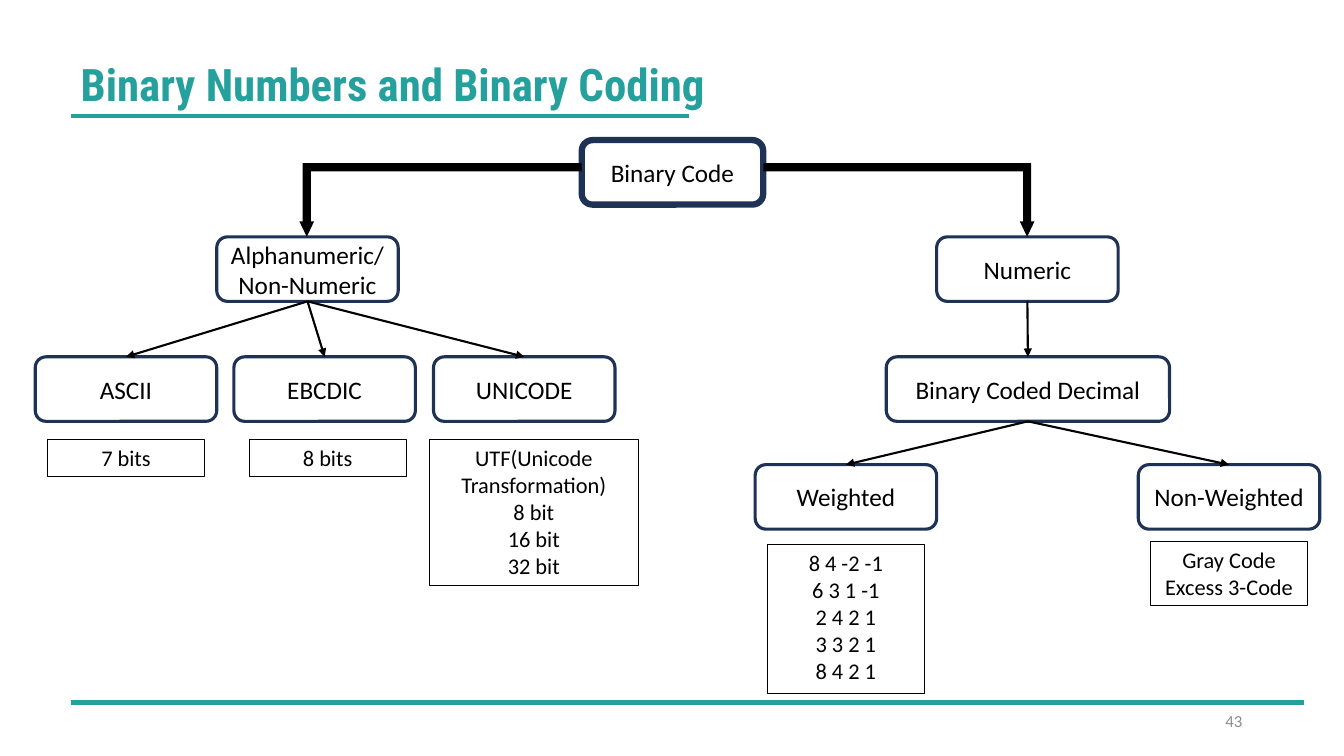
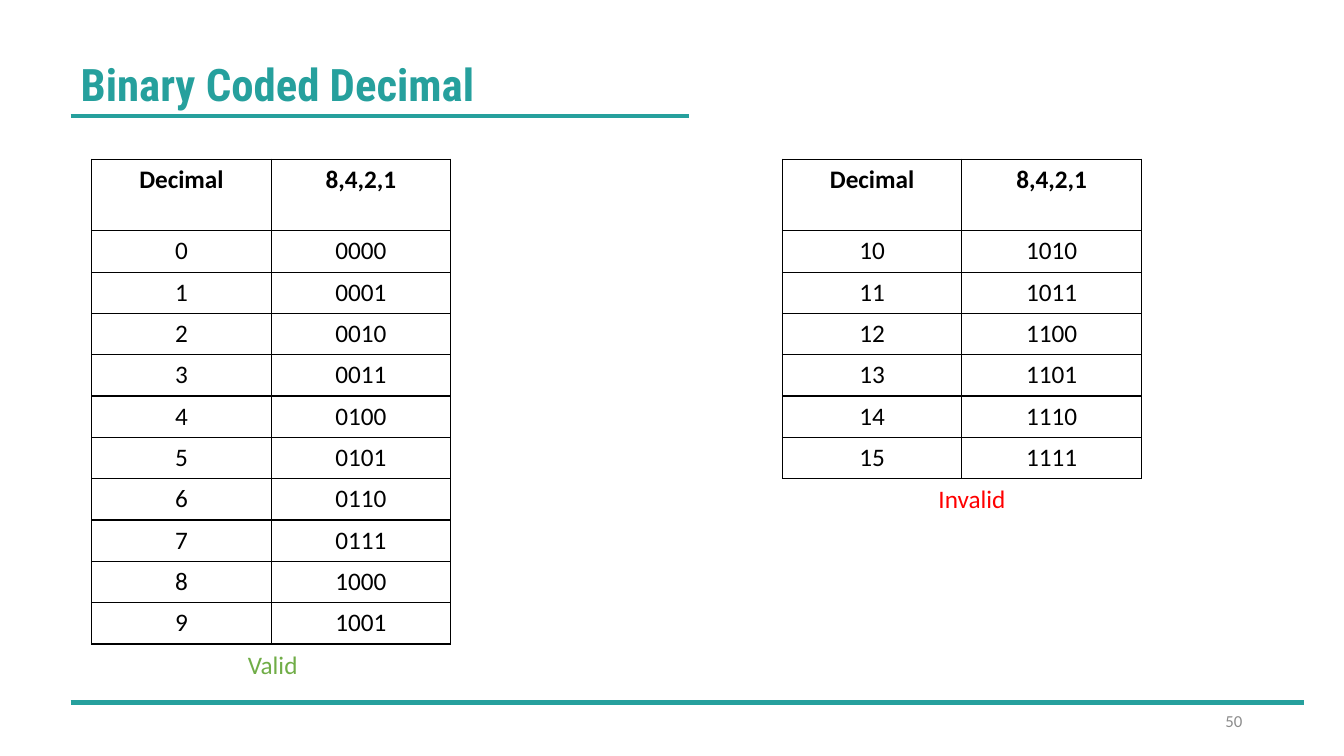
"""Builds two slides on binary codes: a classification tree and the BCD tables."""
from lxml.etree import SubElement
from pptx import Presentation
from pptx.dml.color import RGBColor
from pptx.enum.shapes import MSO_CONNECTOR as Connector, MSO_SHAPE as Shape
from pptx.enum.text import MSO_ANCHOR as Anchor, MSO_AUTO_SIZE as AutoSize, PP_ALIGN as Align
from pptx.oxml import parse_xml
from pptx.oxml.ns import nsdecls, qn
from pptx.util import Emu, Pt

TEAL = RGBColor(0x26, 0xA0, 0x9D)
NAVY = RGBColor(0x1E, 0x32, 0x56)
BLACK = RGBColor(0x00, 0x00, 0x00)
GRAY = RGBColor(0x8C, 0x8C, 0x8C)
RED = RGBColor(0xFF, 0x00, 0x00)
GREEN = RGBColor(0x70, 0xAD, 0x47)
PX = 9144


def px(*lengths):
    return [Emu(length * PX) for length in lengths]


def write(frame, text, size, color=BLACK, align=Align.CENTER, anchor=Anchor.TOP, font="Calibri", bold=False):
    frame.text = text
    frame.word_wrap = True
    frame.vertical_anchor = anchor
    for para in frame.paragraphs:
        para.alignment = align
        for span in para.runs:
            span.font.name = font
            span.font.size = Pt(size)
            span.font.bold = bold
            span.font.color.rgb = color


deck = Presentation()
deck.slide_width, deck.slide_height = px(1333, 750)

pages = []
for heading, number in [("Binary Numbers and Binary Coding", "43"), ("Binary Coded Decimal", "50")]:
    page = deck.slides.add_slide(deck.slide_layouts[5])
    pages.append(page)
    title = page.shapes.title
    title.left, title.top, title.width, title.height = px(70, 51, 753, 64)
    write(title.text_frame, heading, 32, TEAL, Align.LEFT, font="Roboto Condensed", bold=True)
    title.text_frame.auto_size = AutoSize.NONE
    for right, y in [(683, 115), (1293, 697)]:
        rule = page.shapes.add_connector(Connector.STRAIGHT, *px(70, y, right, y))
        rule.line.color.rgb = TEAL
        rule.line.width = Pt(3)
        SubElement(rule._element.spPr, qn("a:effectLst"))
    page_number = page.shapes.add_textbox(*px(942, 695, 300, 40))
    write(page_number.text_frame, number, 12, GRAY, Align.RIGHT, Anchor.MIDDLE)

tree_page, table_page = pages

nodes = {}
for label, left, top, width, border in [
    ("Binary Code", 577, 139, 180, 4.5),
    ("Alphanumeric/Non-Numeric", 215, 235, 180, 2.25),
    ("Numeric", 929, 235, 180, 2.25),
    ("ASCII", 35, 354, 180, 2.25),
    ("EBCDIC", 232, 354, 180, 2.25),
    ("UNICODE", 430, 354, 180, 2.25),
    ("Binary Coded Decimal", 879, 354, 281, 2.25),
    ("Weighted", 749, 461, 180, 2.25),
    ("Non-Weighted", 1129, 461, 180, 2.25),
]:
    box = tree_page.shapes.add_shape(Shape.ROUNDED_RECTANGLE, *px(left, top, width, 64))
    box.shadow.inherit = False
    box.fill.background()
    box.line.color.rgb = NAVY
    box.line.width = Pt(border)
    write(box.text_frame, label, 18, anchor=Anchor.MIDDLE)
    nodes[label] = box

for left, width, flips in [(757, 269, ["flipV"]), (297, 280, ["flipH", "flipV"])]:
    arrow = tree_page.shapes.add_shape(Shape.BENT_UP_ARROW, *px(left, 162, width, 73))
    arrow.shadow.inherit = False
    arrow.fill.solid()
    arrow.fill.fore_color.rgb = BLACK
    arrow.line.fill.background()
    for index, value in enumerate([0.11, 0.1, 0.21]):
        arrow.adjustments[index] = value
    for flip in flips:
        arrow._element.spPr.xfrm.set(flip, "1")

for parent, children in {
    "Alphanumeric/Non-Numeric": ["ASCII", "EBCDIC", "UNICODE"],
    "Numeric": ["Binary Coded Decimal"],
    "Binary Coded Decimal": ["Weighted", "Non-Weighted"],
}.items():
    for child in children:
        branch = tree_page.shapes.add_connector(Connector.STRAIGHT, 0, 0, 0, 0)
        branch.begin_connect(nodes[parent], 2)
        branch.end_connect(nodes[child], 0)
        branch.line.color.rgb = BLACK
        branch.line.width = Pt(1.5)
        SubElement(branch.line._get_or_add_ln(), qn("a:tailEnd"), type="triangle")
        SubElement(branch._element.spPr, qn("a:effectLst"))

for lines, left, top, width, height in [
    (["8 4 -2 -1", "6 3 1 -1", "2 4 2 1", "3 3 2 1", "8 4 2 1"], 761, 540, 156, 148),
    (["Gray Code", "Excess 3-Code"], 1141, 537, 156, 64),
    (["7 bits"], 47, 436, 156, 37),
    (["8 bits"], 247, 436, 156, 37),
    (["UTF(Unicode Transformation)", "8 bit", "16 bit", "32 bit"], 426, 436, 207, 145),
]:
    detail = tree_page.shapes.add_shape(Shape.RECTANGLE, *px(left, top, width, height))
    detail.shadow.inherit = False
    detail.fill.background()
    detail.line.color.rgb = BLACK
    detail.line.width = Pt(0.5)
    write(detail.text_frame, "\n".join(lines), 16)

for left, numbers, caption, color, caption_left, caption_top in [
    (91, range(10), "Valid", GREEN, 236, 639),
    (776, range(10, 16), "Invalid", RED, 921, 475),
]:
    rows = [("Decimal", "8,4,2,1")] + [(str(number), f"{number:04b}") for number in numbers]
    heights = px(71, *[41] * len(numbers))
    table = table_page.shapes.add_table(len(rows), 2, *px(left, 158, 356), sum(heights)).table
    table.first_row = table.horz_banding = False
    for column in table.columns:
        column.width = Emu(178 * PX)
    for row_index, texts in enumerate(rows):
        table.rows[row_index].height = heights[row_index]
        for column_index, text in enumerate(texts):
            cell = table.cell(row_index, column_index)
            write(cell.text_frame, text, 18, bold=row_index == 0)
            cell.fill.background()
            properties = cell._tc.get_or_add_tcPr()
            for position, side in enumerate(["lnL", "lnR", "lnT", "lnB"]):
                properties.insert(position, parse_xml(
                    f'<a:{side} {nsdecls("a")} w="{Pt(1)}"><a:solidFill>'
                    f'<a:srgbClr val="{BLACK}"/></a:solidFill></a:{side}>'))
    note = table_page.shapes.add_textbox(*px(caption_left, caption_top, 107, 40))
    write(note.text_frame, caption, 18, color, Align.LEFT)

deck.save("out.pptx")
